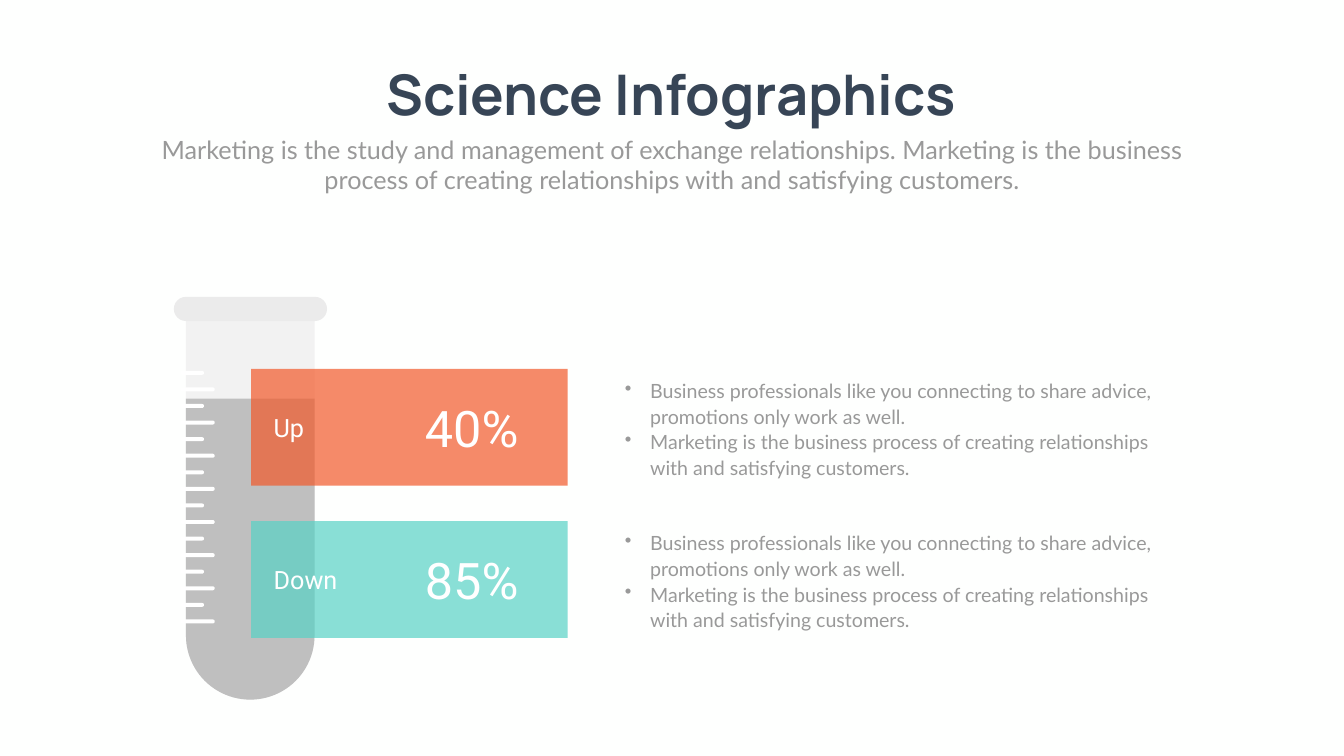
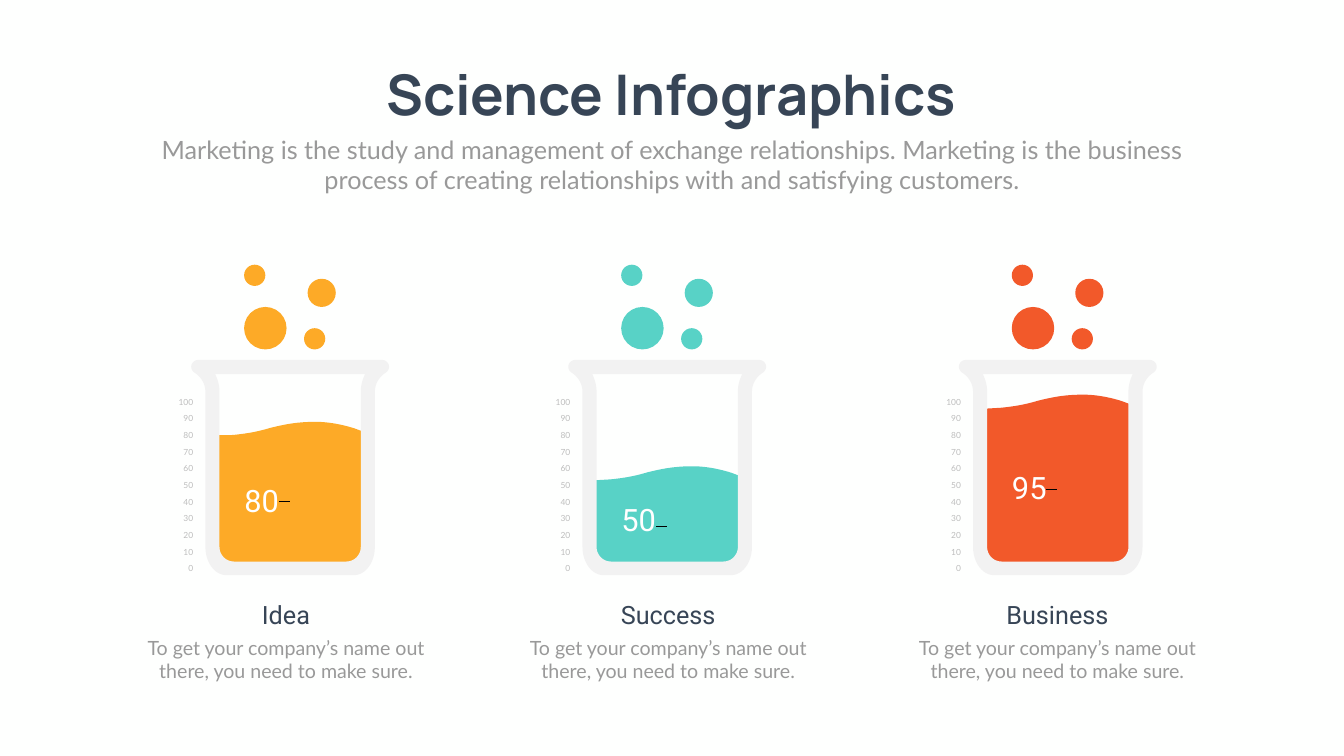
from dataclasses import dataclass

import lxml.etree
import pptx
import pptx.chart.data
import pptx.dml.color
import pptx.enum.chart
import pptx.enum.shapes
import pptx.enum.text
import pptx.oxml.ns
import pptx.util

Cm = pptx.util.Cm
qn = pptx.oxml.ns.qn
SHAPE = pptx.enum.shapes.MSO_SHAPE
ALIGN = pptx.enum.text.PP_ALIGN
ANCHOR = pptx.enum.text.MSO_ANCHOR


# Theme
@dataclass(frozen=True)
class Style:
    name: str
    size: float
    color: str
    bold: bool = False


@dataclass(frozen=True)
class Theme:
    paper: str = "FEFFFE"
    white: str = "FFFFFF"
    glass: str = "F2F2F2"
    rim: str = "EBEBEB"
    liquid: str = "BFBFBF"
    orange: str = "F2592A"
    teal: str = "58D2C6"
    yellow: str = "FDAA27"
    title: Style = Style("Manrope", 80, "374556", True)
    subtitle: Style = Style("Lato", 36, "999999")
    body: Style = Style("Lato", 28, "999999")
    heading: Style = Style("Roboto", 36, "374556")
    card_label: Style = Style("Roboto", 36, "FFFFFF")
    card_value: Style = Style("Roboto", 72, "FFFFFF")
    chart: Style = Style("Lato", 10, "999999")
    scale: Style = Style("Lato", 12, "BDBDBD")
    level: Style = Style("Roboto", 44, "FFFFFF")


THEME = Theme()
TITLE = "Science Infographics"
SUBTITLE = ("Marketing is the study and management of exchange relationships. "
            "Marketing is the business process of creating relationships with "
            "and satisfying customers.")
BULLETS = [
    "Business professionals like you connecting to share advice, promotions only work as well.",
    "Marketing is the business process of creating relationships with and satisfying customers.",
]
FLASK_NOTE = "To get your company’s name out there, you need to make sure."


@dataclass(frozen=True)
class Card:
    label: str
    value: str
    color: str


@dataclass(frozen=True)
class Flask:
    name: str
    level: int
    color: str
    center: float
    caption_center: float
    wave_top: float
    label_shift: float = 0


@dataclass(frozen=True)
class Bubble:
    left: float
    top: float
    size: float


CARDS = [Card("Up", "40%", THEME.orange), Card("Down", "85%", THEME.teal)]
FLASKS = [
    Flask("Idea", 80, THEME.yellow, 14.62, 14.41, 21.26),
    Flask("Success", 50, THEME.teal, 33.62, 33.67, 23.5, -0.03),
    Flask("Business", 95, THEME.orange, 53.3, 53.28, 19.89),
]
BUBBLES = [Bubble(-2.32, 15.47, 2.14), Bubble(-2.32, 13.34, 1.07),
           Bubble(0.7, 16.54, 1.07), Bubble(0.88, 14.05, 1.42)]

# Outlines in cm: a pair is a line end, six numbers are a cubic curve.
# Flask halves are measured from the centre of the lip.
FLASK_OUTER = [
    (4.62, 0),
    (4.79, 0, 4.92, 0.1, 4.97, 0.25),
    (5.02, 0.43, 4.92, 0.58, 4.79, 0.66),
    (4.79, 0.66, 4.27, 0.97, 4.27, 1.6),
    (4.27, 9.42),
    (4.27, 10.21, 3.8, 10.85, 3.2, 10.85),
]
FLASK_INNER = [
    (3.78, 0.71),
    (3.67, 0.94, 3.56, 1.24, 3.56, 1.6),
    (3.56, 9.42),
    (3.56, 9.83, 3.24, 10.16, 2.83, 10.16),
]
WAVE = [
    (5, 0),
    (5.69, 0, 6.4, 0.15, 6.96, 0.33),
    (7.44, 0.51), (7.44, 0.94), (0, 0.94), (0, 0.71), (0.86, 0.66),
    (1.68, 0.58, 2.21, 0.46, 2.74, 0.3),
    (3.38, 0.15, 3.99, 0, 5, 0),
]

Points = list[tuple[float, float]]


# Drawing helpers
def rgb(color: str) -> pptx.dml.color.RGBColor:
    return pptx.dml.color.RGBColor.from_string(color)


def apply_style(font, style: Style) -> None:
    values = {"name": style.name, "size": pptx.util.Pt(style.size), "bold": style.bold}
    for key, value in values.items():
        setattr(font, key, value)
    font.color.rgb = rgb(style.color)


def paint(shape, color: str, opacity: int = 100) -> None:
    shape.shadow.inherit = False
    shape.line.fill.background()
    shape.fill.solid()
    shape.fill.fore_color.rgb = rgb(color)
    if opacity < 100:
        tint = shape._element.spPr.find(".//" + qn("a:srgbClr"))
        lxml.etree.SubElement(tint, qn("a:alpha"), val=str(opacity * 1000))


def add_block(page, kind, left: float, top: float, width: float, height: float,
              color: str, adjust: tuple = (), opacity: int = 100) -> None:
    shape = page.shapes.add_shape(kind, Cm(left), Cm(top), Cm(width), Cm(height))
    for index, value in enumerate(adjust):
        shape.adjustments[index] = value
    paint(shape, color, opacity)


def add_text(page, left: float, top: float, width: float, height: float,
             lines: list[str], style: Style, align=ALIGN.CENTER, anchor=ANCHOR.TOP,
             wrap: bool = True, bullet: bool = False) -> None:
    box = page.shapes.add_textbox(Cm(left), Cm(top), Cm(width), Cm(height))
    frame = box.text_frame
    for key, value in {"word_wrap": wrap, "vertical_anchor": anchor}.items():
        setattr(frame, key, value)
    for index, line in enumerate(lines):
        para = frame.add_paragraph() if index else frame.paragraphs[0]
        para.alignment = align
        if bullet:
            properties = para._p.get_or_add_pPr()
            properties.set("marL", str(Cm(1.27)))
            properties.set("indent", str(-Cm(1.27)))
            lxml.etree.SubElement(properties, qn("a:buChar"), char="•")
            para.line_spacing = pptx.util.Pt(36.6)
        span = para.add_run()
        span.text = line
        apply_style(span.font, style)


def trace(steps: list[tuple], pieces: int = 12) -> Points:
    points: Points = [steps[0]]
    for step in steps[1:]:
        if len(step) == 2:
            points.append(step)
            continue
        controls = (*points[-1], *step)
        for piece in range(1, pieces + 1):
            t = piece / pieces
            weights = ((1 - t) ** 3, 3 * t * (1 - t) ** 2, 3 * t * t * (1 - t), t ** 3)
            points.append((sum(w * x for w, x in zip(weights, controls[::2])),
                           sum(w * y for w, y in zip(weights, controls[1::2]))))
    return points


def mirror(half: Points) -> Points:
    return half + [(-x, y) for x, y in reversed(half)]


def add_outline(page, left: float, top: float, contours: list[Points], color: str) -> None:
    placed = [[(Cm(left + x), Cm(top + y)) for x, y in contour] for contour in contours]
    builder = page.shapes.build_freeform(*placed[0][0])
    for index, contour in enumerate(placed):
        if index:
            builder.move_to(*contour[0])
        builder.add_line_segments(contour[1:], close=True)
    paint(builder.convert_to_shape(), color)


def set_layout(parent, index: int, values: dict) -> None:
    for old in parent.findall(qn("c:layout")):
        parent.remove(old)
    layout = lxml.etree.Element(qn("c:layout"))
    manual = lxml.etree.SubElement(layout, qn("c:manualLayout"))
    for tag, value in values.items():
        lxml.etree.SubElement(manual, qn(f"c:{tag}"), val=str(value))
    parent.insert(index, layout)


def add_level_chart(page, flask: Flask) -> None:
    data = pptx.chart.data.CategoryChartData()
    data.categories = ["1"]
    data.add_series("Series 1", [flask.level])
    data.add_series("Series 2", [None])
    chart = page.shapes.add_chart(
        pptx.enum.chart.XL_CHART_TYPE.COLUMN_STACKED, Cm(flask.center - 5.7), Cm(19.79),
        Cm(10.67), Cm(9.22), data).chart
    chart.has_legend = False
    chart.has_title = False
    apply_style(chart.font, THEME.chart)

    chart.category_axis.visible = False
    axis = chart.value_axis
    settings = {"minimum_scale": 0, "maximum_scale": 100, "major_unit": 10,
                "has_major_gridlines": False,
                "major_tick_mark": pptx.enum.chart.XL_TICK_MARK.OUTSIDE}
    for key, value in settings.items():
        setattr(axis, key, value)
    axis.format.line.fill.background()
    apply_style(axis.tick_labels.font, THEME.scale)

    plot = chart.plots[0]
    for key, value in {"gap_width": 20, "overlap": 100, "vary_by_categories": False}.items():
        setattr(plot, key, value)
    for series, color in zip(plot.series, (flask.color, THEME.teal)):
        series.format.fill.solid()
        series.format.fill.fore_color.rgb = rgb(color)
    label = plot.series[0].points[0].data_label
    apply_style(label.font, THEME.level)
    label.position = pptx.enum.chart.XL_LABEL_POSITION.CENTER

    root = chart._chartSpace
    set_layout(root.find(".//" + qn("c:plotArea")), 0,
               {"layoutTarget": "inner", "xMode": "edge", "yMode": "edge",
                "x": 0.1, "y": 0.05, "w": 0.86, "h": 0.91})
    set_layout(root.find(".//" + qn("c:dLbl")), 1, {"x": -0.13, "y": flask.label_shift})


# Slides
def add_page(deck):
    page = deck.slides.add_slide(deck.slide_layouts[6])
    page.background.fill.solid()
    page.background.fill.fore_color.rgb = rgb(THEME.paper)
    add_text(page, 18.19, 2.84, 31.32, 3.68, [TITLE], THEME.title,
             anchor=ANCHOR.MIDDLE, wrap=False)
    add_text(page, 7.42, 6.63, 52.88, 3.33, [SUBTITLE], THEME.subtitle)
    return page


def add_test_tube(page) -> None:
    bottom = 35.26
    for top, color in ((15.98, THEME.glass), (20.09, THEME.liquid)):
        add_block(page, SHAPE.ROUND_2_SAME_RECTANGLE, 9.37, top, 6.48, bottom - top,
                  color, (0, 0.5))
        if color == THEME.glass:
            add_block(page, SHAPE.ROUNDED_RECTANGLE, 8.76, 14.96, 7.72, 1.22,
                      THEME.rim, (0.5,))
    first, last, count = 18.69, 31.22, 16
    for index in range(count):
        top = first + index * (last - first) / (count - 1)
        add_block(page, SHAPE.ROUNDED_RECTANGLE, 9.09, top, 1.73 if index % 2 else 1.19, 0.2,
                  THEME.white, (0.5,))


def add_card(page, card: Card, top: float) -> None:
    add_block(page, SHAPE.RECTANGLE, 12.65, top, 15.95, 5.89, card.color, opacity=70)
    add_text(page, 13.54, top + 2.06, 4.17, 1.8, [card.label], THEME.card_label, ALIGN.LEFT)
    add_text(page, 20.07, top + 1.3, 7.39, 3.33, [card.value], THEME.card_value)
    add_text(page, 31.24, top + 0.28, 27.71, 5.41, BULLETS, THEME.body, ALIGN.LEFT, bullet=True)


def add_flask(page, flask: Flask) -> None:
    add_level_chart(page, flask)
    add_outline(page, flask.center - 3.72, flask.wave_top, [trace(WAVE)], flask.color)
    for bubble in BUBBLES:
        add_block(page, SHAPE.OVAL, flask.center + bubble.left, bubble.top,
                  bubble.size, bubble.size, flask.color)
    walls = [mirror(trace(half)) for half in (FLASK_INNER, FLASK_OUTER)]
    add_outline(page, flask.center, 18.14, walls, THEME.glass)
    captions = ((flask.name, THEME.heading, 30.07, 12.67, 1.8),
                (FLASK_NOTE, THEME.body, 31.9, 14.88, 2.64))
    for text, style, top, width, height in captions:
        add_text(page, flask.caption_center - width / 2, top, width, height, [text], style)


def main() -> None:
    deck = pptx.Presentation()
    deck.slide_width, deck.slide_height = Cm(67.72), Cm(38.1)

    # Test tube with two cards
    page = add_page(deck)
    add_test_tube(page)
    for index, card in enumerate(CARDS):
        add_card(page, card, 18.59 + index * 7.67)

    # Three flasks with levels
    page = add_page(deck)
    for flask in FLASKS:
        add_flask(page, flask)

    deck.save("out.pptx")


if __name__ == "__main__":
    main()
